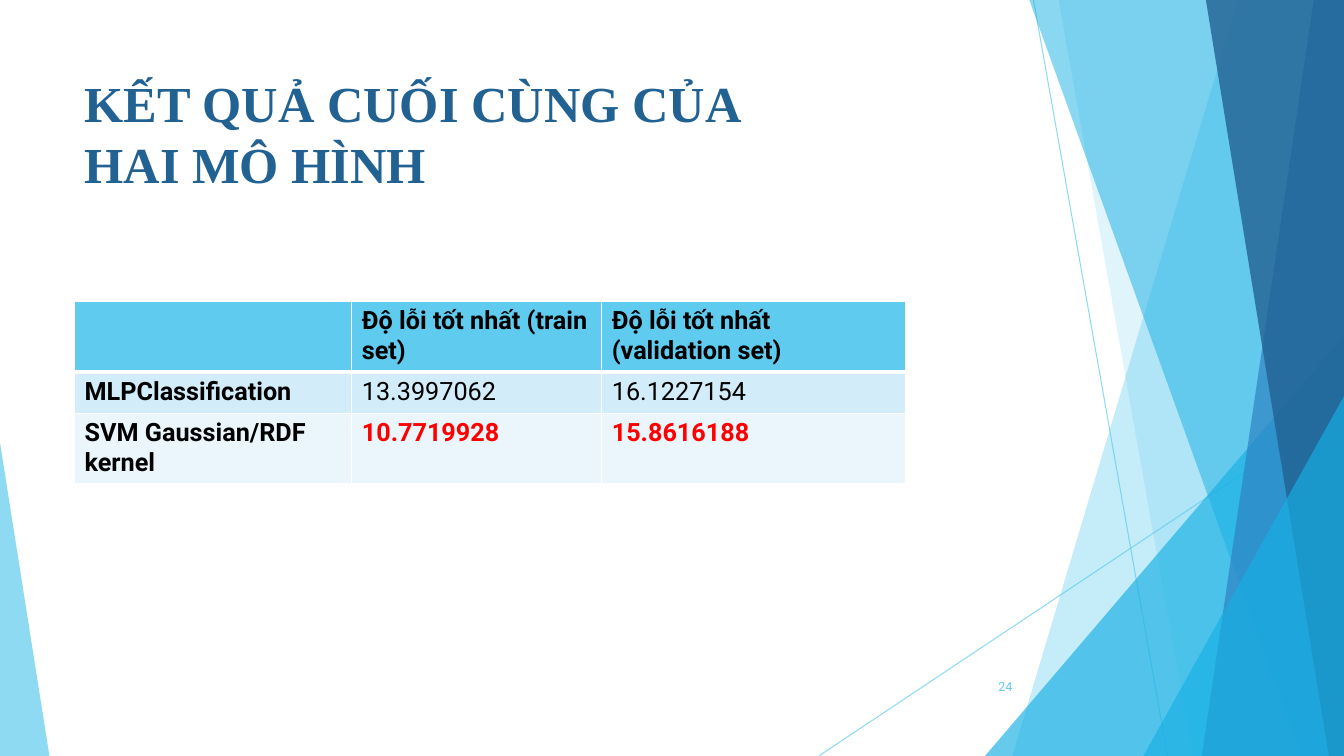
from lxml import etree
from pptx import Presentation
from pptx import util as u
from pptx.dml.color import RGBColor
from pptx.enum import shapes, text
from pptx.oxml.ns import qn

WIDTH, HEIGHT = u.Inches(13.33), u.Inches(7.5)
COLORS = {
    "sky": "5FCBEF", "cyan": "17B0E4", "blue": "2E83C3", "navy": "226292",
    "row_odd": "D2ECF9", "row_even": "EAF6FC",
    "white": "FFFFFF", "black": "000000", "red": "FF0000",
}
BODY_FONT, TITLE_FONT = "Roboto", "Times New Roman"
LEFT = 5.55  # shared left edge of title and table, percent of the width


def across(percent):
    return round(WIDTH * percent / 100)


def down(percent):
    return round(HEIGHT * percent / 100)


def rgb(color):
    return RGBColor.from_string(COLORS[color])


def set_opacity(fill_parent, percent):
    """Add transparency to the solid colour found below the given element."""
    color = next(fill_parent.iter(qn("a:srgbClr")))
    etree.SubElement(color, qn("a:alpha"), val=str(percent * 1000))


def paint(facet, color, opacity):
    facet.shadow.inherit = False
    facet.fill.solid()
    facet.fill.fore_color.rgb = rgb(color)
    facet.line.fill.background()
    set_opacity(facet._element.spPr, opacity)


def add_ray(slide, x1, y1, x2, y2):
    ray = slide.shapes.add_connector(
        shapes.MSO_CONNECTOR.STRAIGHT, across(x1), down(y1), across(x2), down(y2))
    ray.line.color.rgb = rgb("sky")
    ray.line.width = u.Pt(0.75)
    set_opacity(ray._element.spPr, 70)
    etree.SubElement(ray._element.spPr, qn("a:effectLst"))


def add_band(slide, top_x, bottom_x, color, opacity):
    """Full-height band from a slanted left side to the right slide edge."""
    outline = slide.shapes.build_freeform(across(top_x), 0)
    outline.add_line_segments(
        [(WIDTH, 0), (WIDTH, HEIGHT), (across(bottom_x), HEIGHT)], close=True)
    paint(outline.convert_to_shape(), color, opacity)


def add_corner(slide, left, right, top, apex, color, opacity):
    """Right triangle standing on the bottom edge of the slide."""
    corner = slide.shapes.add_shape(
        shapes.MSO_SHAPE.ISOSCELES_TRIANGLE, across(left), down(top),
        across(right - left), down(100 - top))
    corner.adjustments[0] = apex
    paint(corner, color, opacity)


def write(paragraph, lines, color, **font_format):
    for number, line in enumerate(lines):
        if number:
            paragraph.add_line_break()
        run = paragraph.add_run()
        run.text = line
        run.font.color.rgb = rgb(color)
        for attribute, value in font_format.items():
            setattr(run.font, attribute, value)


def add_label(slide, box, lines, color, frame_format, align, **font_format):
    left, top, width, height = box
    frame = slide.shapes.add_textbox(
        across(left), down(top), across(width), down(height)).text_frame
    for attribute, value in frame_format.items():
        setattr(frame, attribute, value)
    frame.paragraphs[0].alignment = align
    write(frame.paragraphs[0], lines, color, **font_format)


def add_borders(cell, widths):
    properties = cell._tc.get_or_add_tcPr()
    for side, width in widths.items():
        border = etree.SubElement(properties, qn(f"a:ln{side}"), w=str(u.Pt(width)))
        fill = etree.SubElement(border, qn("a:solidFill"))
        etree.SubElement(fill, qn("a:srgbClr"), val=COLORS["white"])


def add_results(slide, top, columns, rows, results):
    table = slide.shapes.add_table(
        len(rows), len(columns), across(LEFT), down(top),
        across(sum(columns)), down(sum(rows))).table
    for column, share in zip(table.columns, columns):
        column.width = across(share)
    for row, share in zip(table.rows, rows):
        row.height = down(share)

    row_fills = ["sky", "row_odd", "row_even"]
    for r, entries in enumerate(results):
        for c, entry in enumerate(entries):
            cell = table.cell(r, c)
            add_borders(cell, {"L": 1, "R": 1, "T": 3 if r == 1 else 1,
                               "B": 3 if r == 0 else 1})
            cell.fill.solid()
            cell.fill.fore_color.rgb = rgb(row_fills[r])
            best = r == 2 and c > 0
            if entry:
                write(cell.text_frame.paragraphs[0], [entry],
                      "red" if best else "black", name=BODY_FONT,
                      size=u.Pt(18), bold=r == 0 or c == 0 or best)


def main():
    deck = Presentation()
    deck.slide_width, deck.slide_height = WIDTH, HEIGHT
    slide = deck.slides.add_slide(deck.slide_layouts[6])

    # Faceted backdrop, back to front
    add_ray(slide, 76.9, 0, 86.87, 100)
    add_ray(slide, 100, 53.73, 60.92, 100)
    add_band(slide, 92.12, 75.32, "sky", 36)
    add_band(slide, 78.77, 88.75, "sky", 20)
    add_corner(slide, 73.29, 100, 44.4, 1, "cyan", 66)
    add_band(slide, 76.59, 96.85, "cyan", 50)
    add_band(slide, 97.75, 89.42, "blue", 70)
    add_band(slide, 89.72, 98.87, "navy", 80)
    add_corner(slide, 85.07, 100, 52.4, 1, "cyan", 66)
    add_corner(slide, 0, 3.68, 58.53, 0, "sky", 70)

    # Title
    add_label(slide, (LEFT, 8.93, 70.52, 19.2),
              ["KẾT QUẢ CUỐI CÙNG CỦA", "HAI MÔ HÌNH"], "navy",
              {"word_wrap": True, "vertical_anchor": text.MSO_ANCHOR.TOP},
              text.PP_ALIGN.LEFT, name=TITLE_FONT, size=u.Pt(36), bold=True)

    # Best error of each model
    add_results(slide, 39.87, [20.63, 18.6, 22.58], [9, 5.47, 9.07], [
        ["", "Độ lỗi tốt nhất (train set)", "Độ lỗi tốt nhất (validation set)"],
        ["MLPClassification", "13.3997062", "16.1227154"],
        ["SVM Gaussian/RDF kernel", "10.7719928", "15.8616188"],
    ])

    # Page number
    add_label(slide, (70.44, 88.13, 5.63, 5.33), ["24"], "sky",
              {"word_wrap": True, "vertical_anchor": text.MSO_ANCHOR.MIDDLE},
              text.PP_ALIGN.RIGHT, name=BODY_FONT, size=u.Pt(9))

    deck.save("out.pptx")


if __name__ == "__main__":
    main()
